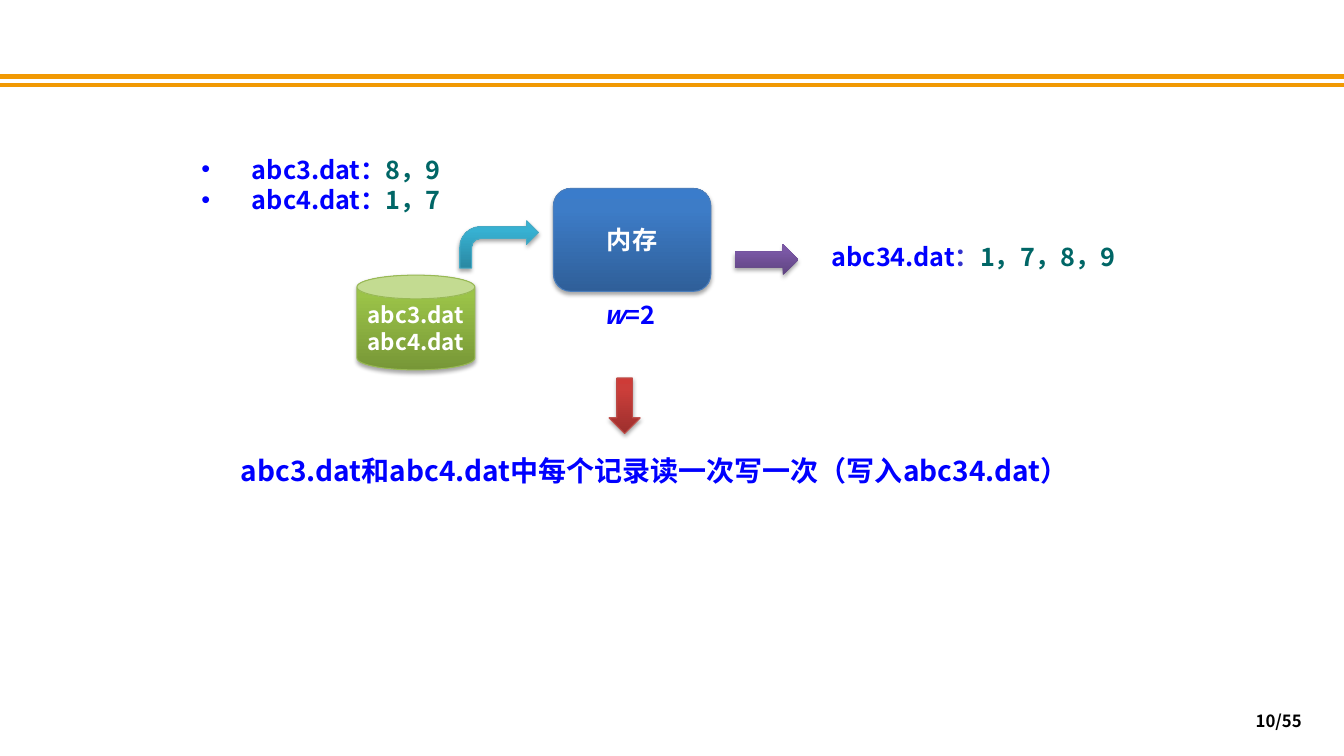
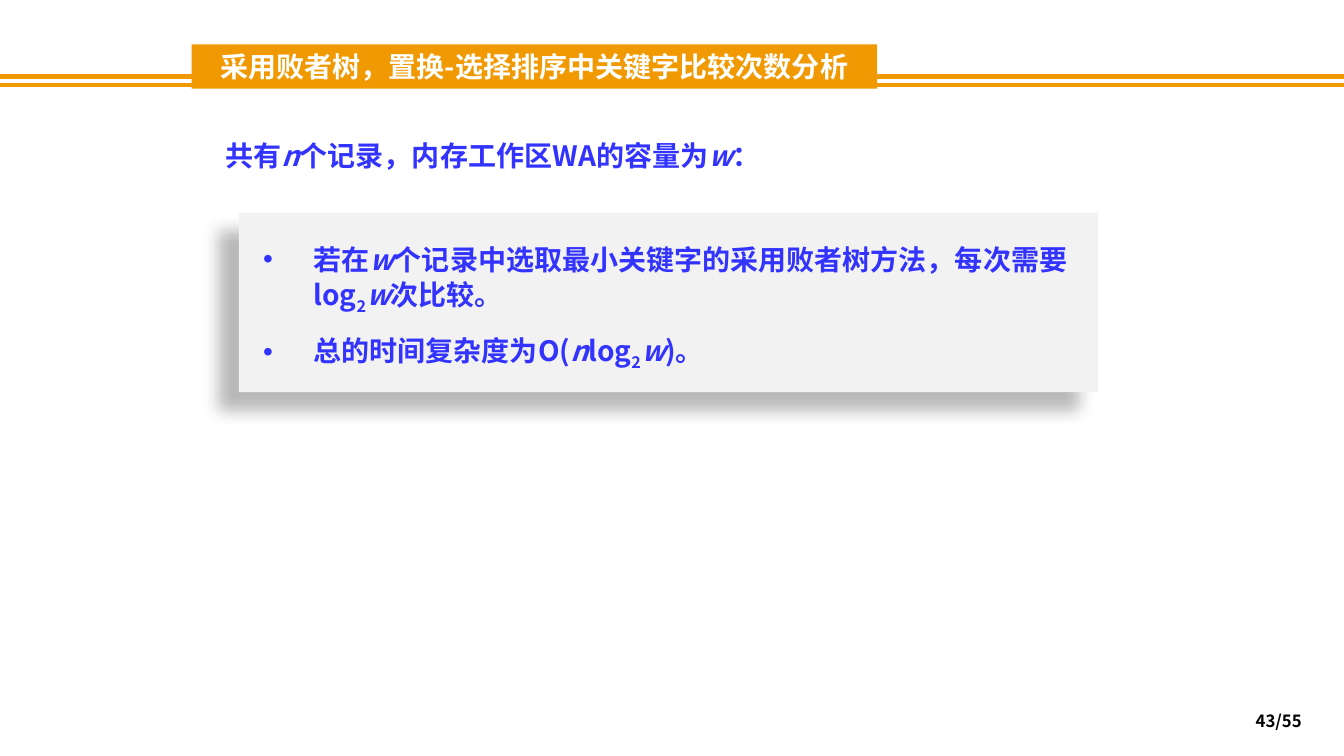
from lxml import etree
from pptx import Presentation
from pptx.dml.color import RGBColor
from pptx.enum.shapes import MSO_CONNECTOR, MSO_SHAPE
from pptx.enum.text import MSO_ANCHOR, PP_ALIGN
from pptx.oxml.ns import qn
from pptx.util import Inches, Pt

LINE = MSO_CONNECTOR.STRAIGHT
RECTANGLE = MSO_SHAPE.RECTANGLE
ROUNDED = MSO_SHAPE.ROUNDED_RECTANGLE
CAN = MSO_SHAPE.CAN
BENT_ARROW = MSO_SHAPE.BENT_ARROW
RIGHT_ARROW = MSO_SHAPE.RIGHT_ARROW
DOWN_ARROW = MSO_SHAPE.DOWN_ARROW
TOP, MIDDLE = MSO_ANCHOR.TOP, MSO_ANCHOR.MIDDLE
LEFT, CENTER, RIGHT = PP_ALIGN.LEFT, PP_ALIGN.CENTER, PP_ALIGN.RIGHT

FONT = "Noto Sans CJK SC"
WIDTH, HEIGHT = 13.33, 7.5
ORANGE = RGBColor(0xF1, 0x99, 0x03)
WHITE = RGBColor(0xFF, 0xFF, 0xFF)
BLACK = RGBColor(0, 0, 0)
PANEL_GRAY = RGBColor(0xF2, 0xF2, 0xF2)
BLUE = RGBColor(0, 0, 0xFF)
COLON_BLUE = RGBColor(0x33, 0x33, 0xCC)
TEXT_BLUE = RGBColor(0x33, 0x33, 0xFF)
TEAL = RGBColor(0, 0x66, 0x66)

# Gradient colours from bottom to top, and the outline of each glossy shape
MEMORY_STYLE = ("2F5F99", "3D7CC7", "3A7CCB"), RGBColor(0x4B, 0x7E, 0xBC)
DISK_STYLE = ("779737", "9BC348", "9DC746"), RGBColor(0x98, 0xB9, 0x55)
READ_STYLE = ("2A88A2", "37B1D2", "34B4D6"), RGBColor(0x46, 0xAA, 0xC5)
WRITE_STYLE = ("5F4480", "7B58A6", "7C57A8"), None
RESULT_STYLE = ("9C2F2D", "CB3E3A", "CE3B37"), RGBColor(0xBF, 0x4C, 0x48)
STOPS = (0, 80, 100)

ITALIC = {"italic": True}
SUBSCRIPT = {"subscript": True}


def add_child(parent, tag, **attributes):
    child = etree.SubElement(parent, qn(tag))
    for name, value in attributes.items():
        child.set(name, str(value))
    return child


# Text
def add_bullet(paragraph):
    properties = paragraph._p.get_or_add_pPr()
    properties.set("marL", str(Inches(0.5)))
    properties.set("indent", str(Inches(-0.5)))
    add_child(properties, "a:buFont", typeface="Arial")
    add_child(properties, "a:buChar", char="•")


def add_run(paragraph, text, size, color, italic=False, subscript=False):
    run = paragraph.add_run()
    run.text = text
    font = run.font
    font.name, font.size, font.bold, font.italic = FONT, Pt(size), True, italic
    font.color.rgb = color
    properties = font._element
    add_child(properties, "a:ea", typeface=FONT)
    if subscript:
        properties.set("baseline", "-25000")


def write(shape, paragraphs, size, color, align=LEFT, anchor=TOP, wrap=True,
          bullets=False, line_spacing=None, gap=0):
    """Each paragraph is a list of (text, run options)."""
    frame = shape.text_frame
    frame.word_wrap = wrap
    frame.vertical_anchor = anchor
    for index, runs in enumerate(paragraphs):
        paragraph = frame.add_paragraph() if index else frame.paragraphs[0]
        if bullets:
            add_bullet(paragraph)
        paragraph.alignment = align
        if line_spacing:
            paragraph.line_spacing = Pt(line_spacing)
        if index and gap:
            paragraph.space_before = Pt(gap)
        for text, options in runs:
            add_run(paragraph, text, size, **{"color": color, **options})


def add_text(slide, box, paragraphs, size, color, **options):
    shape = slide.shapes.add_textbox(*map(Inches, box))
    write(shape, paragraphs, size, color, **options)


# Shapes
def add_flat_shape(slide, kind, box, fill):
    shape = slide.shapes.add_shape(kind, *map(Inches, box))
    shape.shadow.inherit = False
    shape.fill.solid()
    shape.fill.fore_color.rgb = fill
    shape.line.fill.background()
    return shape


def add_shadow(shape, opacity, blur, distance, angle):
    effects = shape._element.spPr.find(qn("a:effectLst"))
    shadow = add_child(effects, "a:outerShdw", blurRad=Pt(blur), dist=Pt(distance),
                       dir=angle * 60000, algn="ctr", rotWithShape=0)
    color = add_child(shadow, "a:srgbClr", val="000000")
    add_child(color, "a:alpha", val=opacity * 1000)


def add_glossy_shape(slide, kind, box, style):
    colors, outline = style
    shape = add_flat_shape(slide, kind, box, WHITE)
    properties = shape._element.spPr
    gradient = etree.Element(qn("a:gradFill"), rotWithShape="1")
    stops = add_child(gradient, "a:gsLst")
    for position, color in zip(STOPS, colors):
        stop = add_child(stops, "a:gs", pos=position * 1000)
        add_child(stop, "a:srgbClr", val=color)
    add_child(gradient, "a:lin", ang=270 * 60000, scaled=0)
    properties.replace(properties.find(qn("a:solidFill")), gradient)
    if outline:
        shape.line.color.rgb = outline
        shape.line.width = Pt(0.75)
    add_shadow(shape, 35, 3.1, 1.8, 90)
    return shape


# Parts shared by the slides
def add_base_slide(presentation, page):
    slide = presentation.slides.add_slide(presentation.slide_layouts[6])
    for y in (0.76, 0.84):
        rule = slide.shapes.add_connector(LINE, 0, Inches(y), Inches(WIDTH), Inches(y))
        rule.line.color.rgb = ORANGE
        rule.line.width = Pt(3)
        add_child(rule._element.spPr, "a:effectLst")
    add_text(slide, (9.9, 6.95, 3.11, 0.4), [[(page, {})]], 12, BLACK,
             align=RIGHT, anchor=MIDDLE)
    return slide


def add_title(slide, box, title):
    band = add_flat_shape(slide, RECTANGLE, box, ORANGE)
    write(band, [[(title, {})]], 20, WHITE, align=CENTER, anchor=MIDDLE)


# Regions of the merge slide
def add_merge_flow(slide, left, top):
    def place(x, y, width, height):
        return left + x, top + y, width, height

    # Memory and its capacity
    add_text(slide, place(3.99, 1.44, 0.78, 0.4), [[("w", ITALIC), ("=2", {})]], 18, BLUE)
    memory = add_glossy_shape(slide, ROUNDED, place(3.59, 0.39, 1.56, 1.02), MEMORY_STYLE)
    write(memory, [[("内存", {})]], 18, WHITE, align=CENTER, anchor=MIDDLE, wrap=False)

    # Input files
    disk = add_glossy_shape(slide, CAN, place(1.64, 1.25, 1.17, 0.94), DISK_STYLE)
    write(disk, [[("abc3.dat", {})], [("abc4.dat", {})]], 16, WHITE,
          align=CENTER, anchor=MIDDLE, wrap=False)
    add_glossy_shape(slide, BENT_ARROW, place(2.66, 0.71, 0.78, 0.47), READ_STYLE)
    contents = add_flat_shape(slide, RECTANGLE, place(0, 0, 2.89, 0.71), WHITE)
    values = {"color": TEAL}
    write(contents, [[("abc3.dat：", {}), ("8，9", values)],
                     [("abc4.dat：", {}), ("1，7", values)]], 18, BLUE, bullets=True)

    # Output file
    add_glossy_shape(slide, RIGHT_ARROW, place(5.39, 0.94, 0.63, 0.31), WRITE_STYLE)
    add_text(slide, place(6.25, 0.86, 3.36, 0.4),
             [[("abc34.dat", {}), ("：", {"color": COLON_BLUE}), ("1，7，8，9", values)]],
             18, BLUE)


def add_conclusion(slide, left, top):
    add_glossy_shape(slide, DOWN_ARROW, (left + 3.75, top, 0.31, 0.55), RESULT_STYLE)
    text = "abc3.dat和abc4.dat中每个记录读一次写一次（写入abc34.dat）"
    add_text(slide, (left, top + 0.7, 8.52, 0.44), [[(text, {})]], 20, BLUE)


# Region of the analysis slide
def add_panel(slide, box, paragraphs):
    panel = add_flat_shape(slide, RECTANGLE, box, PANEL_GRAY)
    add_shadow(panel, 28, 11.8, 19.7, 141)
    frame = panel.text_frame
    frame.margin_left = frame.margin_top = Inches(0.24)
    frame.margin_right = frame.margin_bottom = Inches(0.2)
    write(panel, paragraphs, 20, TEXT_BLUE, bullets=True, line_spacing=28, gap=12)


def build_merge_slide(presentation):
    slide = add_base_slide(presentation, "10/55")
    add_merge_flow(slide, 1.9, 1.48)
    add_conclusion(slide, 2.29, 3.75)


def build_analysis_slide(presentation):
    slide = add_base_slide(presentation, "43/55")
    add_title(slide, (1.9, 0.44, 6.8, 0.44), "采用败者树，置换-选择排序中关键字比较次数分析")
    add_text(slide, (2.14, 1.33, 5.7, 0.44),
             [[("共有", {}), ("n", ITALIC), ("个记录，内存工作区WA的容量为", {}),
               ("w", ITALIC), ("：", {})]], 20, TEXT_BLUE)
    add_panel(slide, (2.37, 2.11, 8.52, 1.78), [
        [("若在", {}), ("w", ITALIC),
         ("个记录中选取最小关键字的采用败者树方法，每次需要log", {}),
         ("2", SUBSCRIPT), ("w", ITALIC), ("次比较。", {})],
        [("总的时间复杂度为O(", {}), ("n", ITALIC), ("log", {}),
         ("2", SUBSCRIPT), ("w", ITALIC), (")。", {})],
    ])


def main():
    presentation = Presentation()
    presentation.slide_width = Inches(WIDTH)
    presentation.slide_height = Inches(HEIGHT)
    build_merge_slide(presentation)
    build_analysis_slide(presentation)
    presentation.save("out.pptx")


if __name__ == "__main__":
    main()
